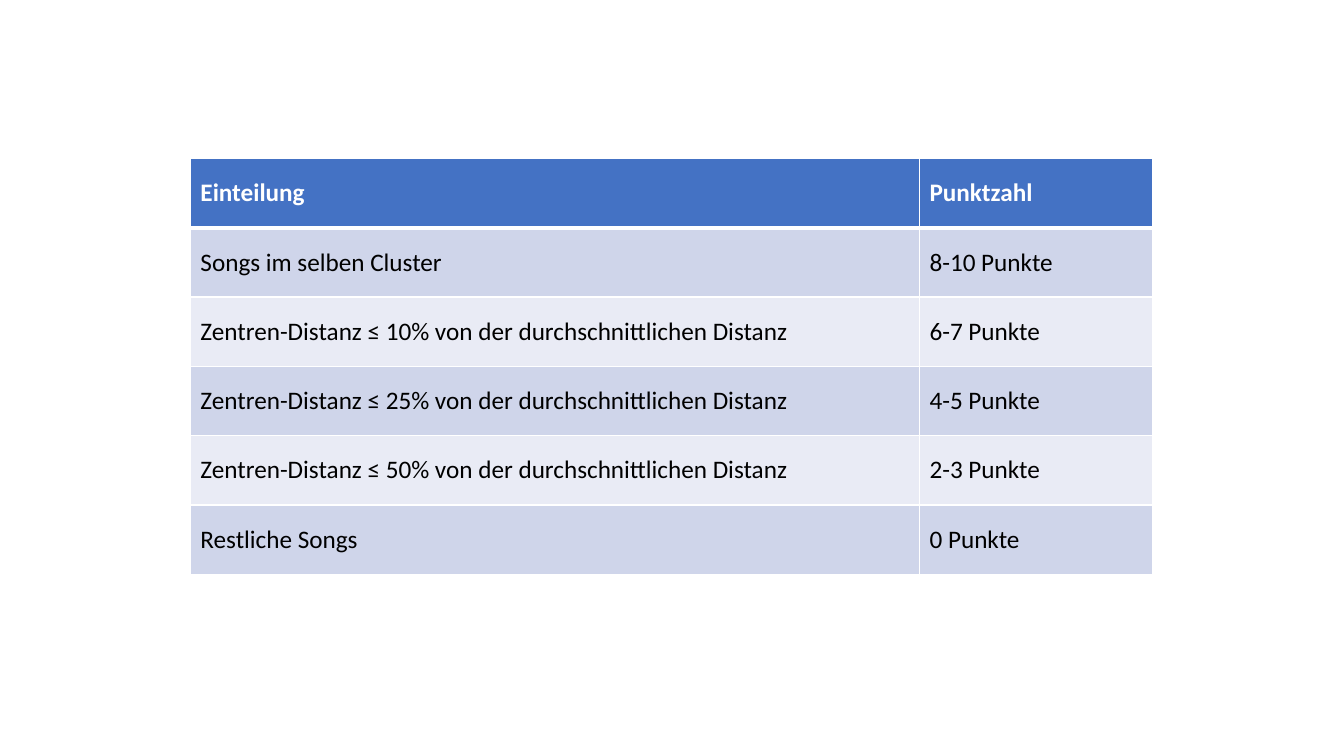
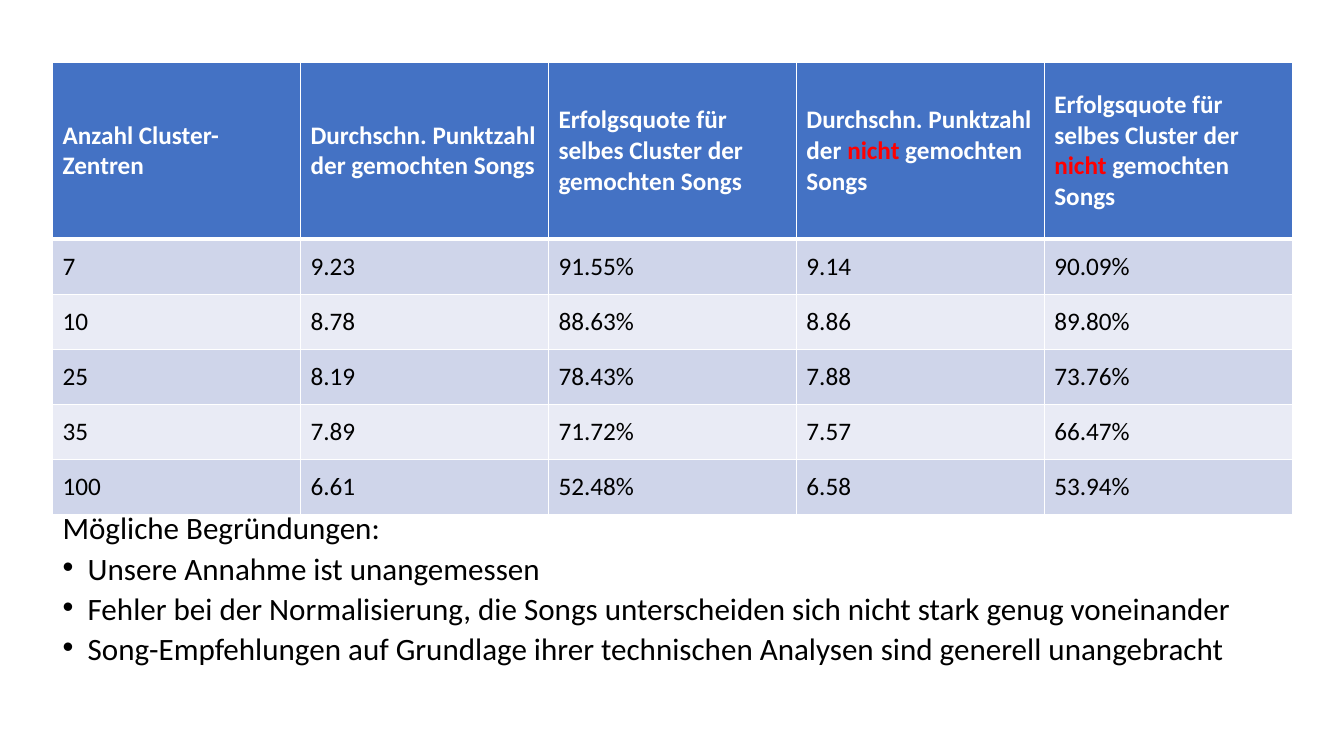
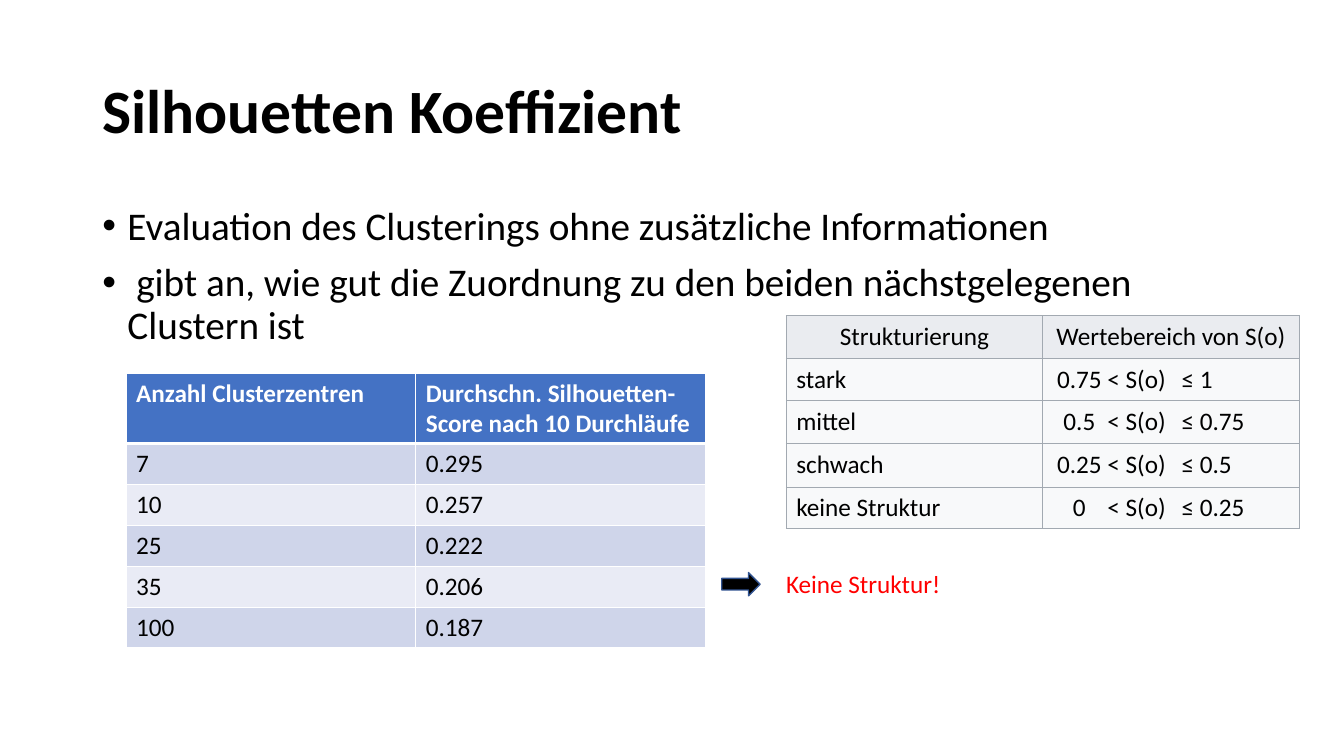
from pptx import Presentation
from pptx.dml.color import RGBColor
from pptx.enum.shapes import MSO_SHAPE
from pptx.enum.text import MSO_ANCHOR, MSO_AUTO_SIZE, PP_ALIGN
from pptx.oxml.ns import qn
from pptx.util import Pt
from lxml import etree

RIGHT_ARROW = MSO_SHAPE.RIGHT_ARROW
TOP, MIDDLE = MSO_ANCHOR.TOP, MSO_ANCHOR.MIDDLE
LEFT, CENTER = PP_ALIGN.LEFT, PP_ALIGN.CENTER
NO_AUTOFIT = MSO_AUTO_SIZE.NONE
TITLE_ONLY, BLANK = 5, 6

FONT = "Calibri"
BLACK, WHITE, RED = "000000", "FFFFFF", "FF0000"
BLUE, BAND_DARK, BAND_LIGHT = "4472C4", "CFD5EA", "E9EBF5"
GREY_HEAD, GREY_BODY, GREY_LINE = "EAECF0", "F8F9FA", "A2A9B1"
ARROW_LINE = "325491"


def color(value):
    return RGBColor.from_string(value)


class Deck:
    def __init__(self):
        self.presentation = Presentation()
        self.presentation.slide_width = Pt(960)
        self.presentation.slide_height = Pt(540)
        self.slide = None

    def add_slide(self, layout=BLANK):
        layouts = self.presentation.slide_layouts
        self.slide = self.presentation.slides.add_slide(layouts[layout])

    def add_runs(self, paragraph, content, size=18, ink=BLACK, bold=False):
        runs = [(content, ink)] if isinstance(content, str) else content
        for text, run_ink in runs:
            run = paragraph.add_run()
            run.text = text
            run.font.name = FONT
            run.font.size = Pt(size)
            run.font.bold = bold
            run.font.color.rgb = color(run_ink)

    def title(self, text):
        shape = self.slide.shapes.title
        shape.left, shape.top = Pt(66), Pt(28.75)
        shape.width, shape.height = Pt(828), Pt(104.4)
        frame = shape.text_frame
        frame.word_wrap = True
        frame.auto_size = NO_AUTOFIT
        frame.vertical_anchor = MIDDLE
        paragraph = frame.paragraphs[0]
        paragraph.alignment = LEFT
        paragraph.line_spacing = 0.9
        self.add_runs(paragraph, text, 44, bold=True)

    def text(self, left, top, width, height, lines, size=18, ink=BLACK,
             spacing=None, before=0, first_bullet=None):
        shape = self.slide.shapes.add_textbox(Pt(left), Pt(top), Pt(width), Pt(height))
        frame = shape.text_frame
        frame.word_wrap = True
        for index, line in enumerate(lines):
            paragraph = frame.add_paragraph() if index else frame.paragraphs[0]
            paragraph.line_spacing = spacing
            paragraph.space_before = Pt(before)
            if first_bullet is not None and index >= first_bullet:
                self.bullet(paragraph)
            self.add_runs(paragraph, line, size, ink)

    def bullet(self, paragraph):
        properties = paragraph._p.get_or_add_pPr()
        properties.set("marL", str(Pt(18)))
        properties.set("indent", str(-Pt(18)))
        etree.SubElement(properties, qn("a:buFont"), typeface="Arial")
        etree.SubElement(properties, qn("a:buChar"), char="•")

    def tab_stops(self, paragraph, stops):
        tab_list = etree.SubElement(paragraph._p.get_or_add_pPr(), qn("a:tabLst"))
        for position, alignment in stops:
            etree.SubElement(tab_list, qn("a:tab"), pos=str(Pt(position)), algn=alignment)

    def border(self, cell, side, width, ink):
        line = etree.SubElement(cell._tc.get_or_add_tcPr(), qn("a:ln" + side), w=str(Pt(width)))
        fill = etree.SubElement(line, qn("a:solidFill"))
        etree.SubElement(fill, qn("a:srgbClr"), val=ink)

    def table(self, left, top, widths, heights, rows, anchor=MIDDLE, head=BLUE,
              head_ink=WHITE, head_bold=True, head_align=LEFT, head_rule=3,
              bands=(BAND_DARK, BAND_LIGHT), line=WHITE, line_width=1, stops=()):
        table = self.slide.shapes.add_table(
            len(rows), len(widths), Pt(left), Pt(top),
            Pt(sum(widths)), Pt(sum(heights))).table
        for column, width in zip(table.columns, widths):
            column.width = Pt(width)
        for row_index, (row, height) in enumerate(zip(rows, heights)):
            table.rows[row_index].height = Pt(height)
            is_head = row_index == 0
            edges = {"L": line_width, "R": line_width,
                     "T": head_rule if row_index == 1 else line_width,
                     "B": head_rule if is_head else line_width}
            for column_index, content in enumerate(row):
                cell = table.cell(row_index, column_index)
                for side, width in edges.items():
                    self.border(cell, side, width, line)
                cell.fill.solid()
                cell.fill.fore_color.rgb = color(
                    head if is_head else bands[(row_index - 1) % len(bands)])
                cell.vertical_anchor = anchor
                paragraph = cell.text_frame.paragraphs[0]
                paragraph.alignment = head_align if is_head else LEFT
                if "\t" in content:
                    self.tab_stops(paragraph, stops)
                self.add_runs(paragraph, content, ink=head_ink if is_head else BLACK,
                              bold=is_head and head_bold)

    def arrow(self, left, top, width, height):
        shape = self.slide.shapes.add_shape(
            RIGHT_ARROW, Pt(left), Pt(top), Pt(width), Pt(height))
        shape.shadow.inherit = False
        shape.fill.solid()
        shape.fill.fore_color.rgb = color(BLACK)
        shape.line.color.rgb = color(ARROW_LINE)
        shape.line.width = Pt(1)


deck = Deck()

deck.add_slide()
distance = "Zentren-Distanz ≤ {}% von der durchschnittlichen Distanz"
deck.table(136, 113.2, [520.8, 166.6], [49.5] * 6, [
    ("Einteilung", "Punktzahl"),
    ("Songs im selben Cluster", "8-10 Punkte"),
    (distance.format(10), "6-7 Punkte"),
    (distance.format(25), "4-5 Punkte"),
    (distance.format(50), "2-3 Punkte"),
    ("Restliche Songs", "0 Punkte"),
])

deck.add_slide()
disliked = [("nicht", RED), (" gemochten Songs", WHITE)]
deck.table(37.6, 44.8, [177.1] * 5, [126] + [39.4] * 5, [
    ("Anzahl Cluster-Zentren",
     "Durchschn. Punktzahl der gemochten Songs",
     "Erfolgsquote für selbes Cluster der gemochten Songs",
     [("Durchschn. Punktzahl der ", WHITE)] + disliked,
     [("Erfolgsquote für selbes Cluster der ", WHITE)] + disliked),
    ("7", "9.23", "91.55%", "9.14", "90.09%"),
    ("10", "8.78", "88.63%", "8.86", "89.80%"),
    ("25", "8.19", "78.43%", "7.88", "73.76%"),
    ("35", "7.89", "71.72%", "7.57", "66.47%"),
    ("100", "6.61", "52.48%", "6.58", "53.94%"),
])
deck.text(37.6, 367.2, 885.6, 118.8, [
    "Mögliche Begründungen:",
    "Unsere Annahme ist unangemessen",
    "Fehler bei der Normalisierung, die Songs unterscheiden sich nicht stark genug voneinander",
    "Song-Empfehlungen auf Grundlage ihrer technischen Analysen sind generell unangebracht",
], size=22.2, spacing=0.7, before=10, first_bullet=1)

deck.add_slide(TITLE_ONLY)
deck.title("Silhouetten Koeffizient")
deck.text(66, 144, 828, 342.7, [
    "Evaluation des Clusterings ohne zusätzliche Informationen",
    "\u00a0gibt an, wie gut die Zuordnung zu den beiden nächstgelegenen Clustern ist",
], size=28, spacing=0.9, before=10, first_bullet=0)
deck.table(561.6, 225.4, [183.2] * 2, [31, 29.5, 31, 31, 29.5], [
    ("Strukturierung", "Wertebereich von\u00a0S(o)"),
    ("stark", "\t0.75\t< S(o)\t≤ 1"),
    ("mittel", "\t0.5\t< S(o)\t≤ 0.75"),
    ("schwach", "\t0.25\t< S(o)\t≤ 0.5"),
    ("keine Struktur", "\t0\t< S(o)\t≤ 0.25"),
], head=GREY_HEAD, head_ink=BLACK, head_bold=False, head_align=CENTER,
    head_rule=0.75, bands=(GREY_BODY,), line=GREY_LINE, line_width=0.75,
    stops=((19, "ctr"), (39, "l"), (92, "l")))
deck.table(90, 266.4, [207] * 2, [50.5] + [29.2] * 5, [
    ("Anzahl Clusterzentren", "Durchschn. Silhouetten-Score nach 10 Durchläufe"),
    ("7", "0.295"),
    ("10", "0.257"),
    ("25", "0.222"),
    ("35", "0.206"),
    ("100", "0.187"),
], anchor=TOP)
deck.text(554.4, 402.5, 222.5, 28.8, ["Keine Struktur!"], ink=RED)
deck.arrow(515.5, 409, 27.4, 16.6)

deck.presentation.save("out.pptx")
